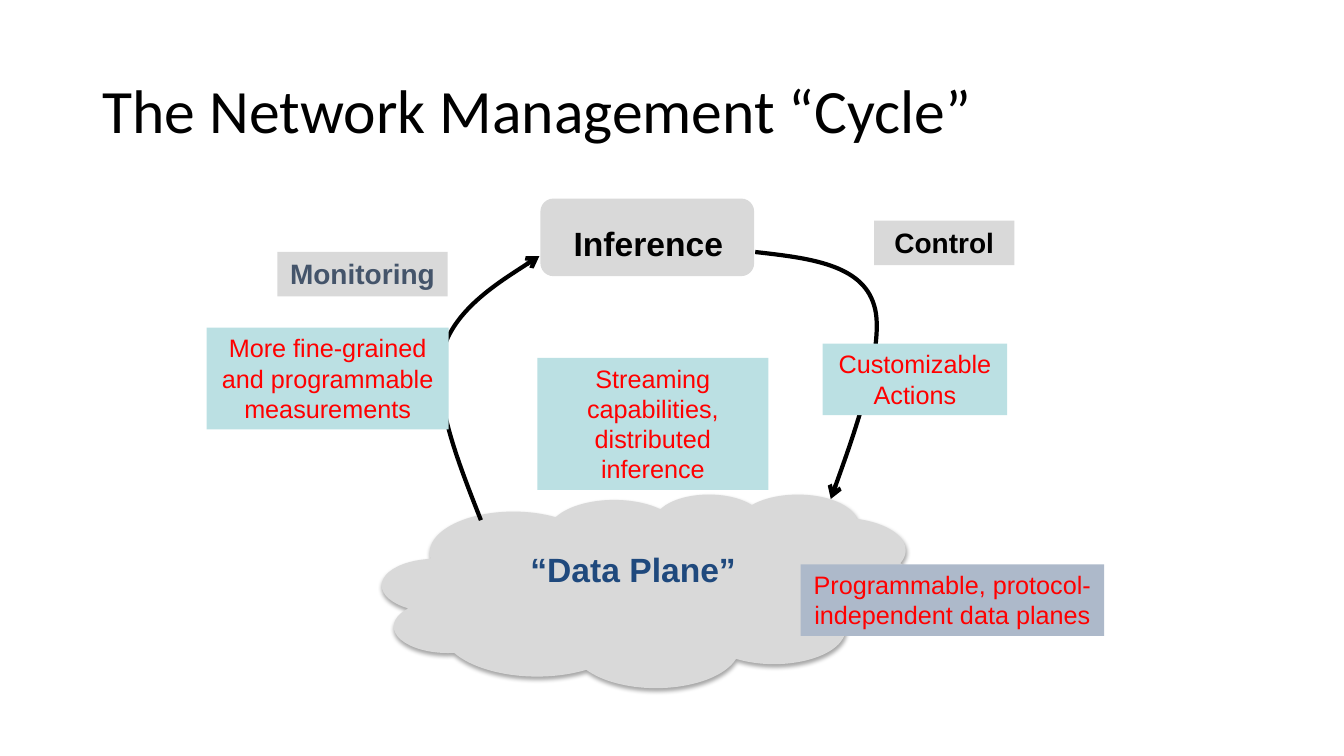
import pptx
import pptx.dml.color
import pptx.enum.shapes
import pptx.enum.text
import pptx.oxml
import pptx.oxml.ns
import pptx.util
from pptx.util import Inches

COLORS = {
    "black": "000000",
    "grey": "D9D9D9",
    "slate": "44546A",
    "navy": "1F497D",
    "red": "FF0000",
    "aqua": "BBE0E3",
    "steel": "ADB9CA",
}
SHAPES = pptx.enum.shapes.MSO_SHAPE
ALIGN = pptx.enum.text.PP_ALIGN
ANCHOR = pptx.enum.text.MSO_ANCHOR
AUTO_SIZE = pptx.enum.text.MSO_AUTO_SIZE
NS = pptx.oxml.ns.nsdecls("a")
qn = pptx.oxml.ns.qn


def rgb(name):
    return pptx.dml.color.RGBColor.from_string(COLORS[name])


def write(tf, lines, size, color, bold=False, font="Arial", align=ALIGN.CENTER):
    """Fill a text frame with one paragraph per line."""
    for i, line in enumerate(lines):
        p = tf.paragraphs[0] if i == 0 else tf.add_paragraph()
        p.alignment = align
        r = p.add_run()
        r.text = line
        r.font.name = font
        r.font.size = pptx.util.Pt(size)
        r.font.bold = bold
        r.font.color.rgb = rgb(color)


def add_title(s, text):
    sp = s.shapes.add_textbox(Inches(0.92), Inches(0.4), Inches(11.5), Inches(1.45))
    tf = sp.text_frame
    tf.word_wrap = True
    tf.vertical_anchor = ANCHOR.MIDDLE
    write(tf, [text], 44, "black", font="Calibri", align=ALIGN.LEFT)
    tf.paragraphs[0].line_spacing = 0.9


def add_filled(s, kind, box, fill):
    sp = s.shapes.add_shape(kind, *map(Inches, box))
    sp.shadow.inherit = False
    sp.fill.solid()
    sp.fill.fore_color.rgb = rgb(fill)
    sp.line.fill.background()
    return sp


def add_cloud(s, box):
    sp = add_filled(s, SHAPES.CLOUD, box, "grey")
    effects = sp._element.spPr.find(qn("a:effectLst"))
    effects.append(pptx.oxml.parse_xml(
        f'<a:outerShdw {NS} blurRad="39370" dist="22860" dir="5400000" rotWithShape="0">'
        f'<a:srgbClr val="{COLORS["black"]}"><a:alpha val="35000"/></a:srgbClr>'
        '</a:outerShdw>'))


def add_curved_arrow(s, start, points):
    """Draw a Bezier path; points holds two controls and an end for each curve."""
    builder = s.shapes.build_freeform(*map(Inches, start))
    builder.add_line_segments([tuple(map(Inches, pt)) for pt in points], close=False)
    sp = builder.convert_to_shape()
    sp.shadow.inherit = False
    sp.fill.background()
    sp.line.color.rgb = rgb("black")
    sp.line.width = pptx.util.Pt(3)
    sp.line._get_or_add_ln().append(
        pptx.oxml.parse_xml(f'<a:tailEnd {NS} type="arrow"/>'))
    path = next(sp._element.iter(qn("a:path")))
    segments = path.findall(qn("a:lnTo"))
    for i in range(0, len(segments), 3):
        curve = pptx.oxml.parse_xml(f"<a:cubicBezTo {NS}/>")
        path.append(curve)
        for segment in segments[i:i + 3]:
            curve.append(segment[0])
            path.remove(segment)


def add_label(s, box, lines, size, color, fill=None, bold=False, wrap=True):
    if fill:
        sp = add_filled(s, SHAPES.RECTANGLE, box, fill)
    else:
        sp = s.shapes.add_textbox(*map(Inches, box))
    tf = sp.text_frame
    tf.word_wrap = wrap
    tf.auto_size = AUTO_SIZE.SHAPE_TO_FIT_TEXT
    tf.vertical_anchor = ANCHOR.TOP
    write(tf, lines, size, color, bold)


def main():
    prs = pptx.Presentation()
    prs.slide_width, prs.slide_height = Inches(13.33), Inches(7.5)
    s = prs.slides.add_slide(prs.slide_layouts[6])

    add_title(s, "The Network Management “Cycle”")
    add_filled(s, SHAPES.ROUNDED_RECTANGLE, (5.36, 1.97, 2.12, 0.77), "grey")
    add_cloud(s, (3.79, 4.9, 5.31, 1.92))
    add_curved_arrow(s, (4.77, 5.16), [
        (4.53, 4.55), (4.29, 3.94), (4.39, 3.5),
        (4.49, 3.06), (5.35, 2.54), (5.35, 2.54)])
    add_curved_arrow(s, (7.49, 2.5), [
        (8.02, 2.56), (8.55, 2.62), (8.67, 3.03),
        (8.8, 3.44), (8.24, 4.95), (8.24, 4.95)])

    add_label(s, (2.75, 2.5, 1.69, 0.44), ["Monitoring"], 20, "slate", "grey", bold=True)
    add_label(s, (5.15, 5.4, 2.26, 0.5), ["“Data Plane”"], 24, "navy", bold=True, wrap=False)
    add_label(s, (8.67, 2.19, 1.39, 0.44), ["Control"], 20, "black", "grey", bold=True)
    add_label(s, (5.54, 2.16, 1.78, 0.5), ["Inference"], 24, "black", bold=True)

    notes = [
        ((2.05, 3.25, 2.4, 1.01), "aqua",
         ["More fine-grained and programmable", "measurements"]),
        ((8.16, 3.41, 1.83, 0.71), "aqua", ["Customizable", "Actions"]),
        ((5.33, 3.55, 2.29, 1.31), "aqua",
         ["Streaming capabilities, distributed inference"]),
        ((7.94, 5.6, 3.01, 0.71), "steel",
         ["Programmable, protocol-independent data planes"]),
    ]
    for box, fill, lines in notes:
        add_label(s, box, lines, 18, "red", fill)

    prs.save("out.pptx")


if __name__ == "__main__":
    main()
